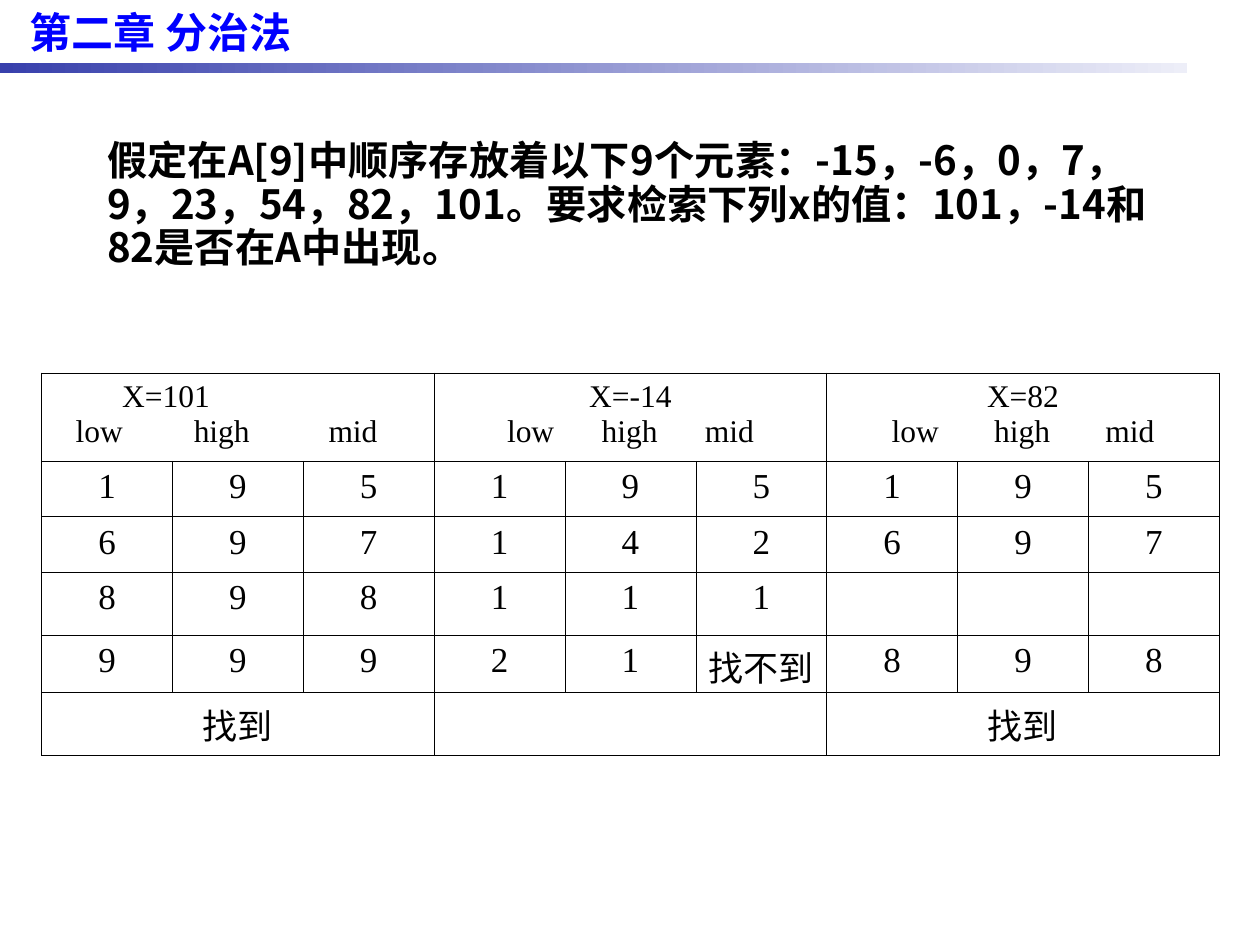
"""Build the slide tracing three binary searches over a sorted array."""
from dataclasses import dataclass

from lxml.etree import SubElement
from pptx import Presentation
from pptx.dml.color import RGBColor as Rgb
from pptx.enum.shapes import MSO_SHAPE as Shape
from pptx.enum.text import MSO_ANCHOR as Anchor, MSO_AUTO_SIZE as AutoSize, PP_ALIGN as Align
from pptx.oxml import parse_xml
from pptx.oxml.ns import nsdecls, qn
from pptx.util import Inches, Pt

TITLE = "第二章 分治法"
PROBLEM = ("假定在A[9]中顺序存放着以下9个元素：-15，-6，0，7，9，23，54，82，101。"
           "要求检索下列x的值：101，-14和82是否在A中出现。")
SEARCHES = [
    {"name": "X=101", "indents": (0.54, 0.17), "label_gaps": (36, 40.5), "result": "找到",
     "steps": ["1 9 5", "6 9 7", "8 9 8", "9 9 9"]},
    {"name": "X=-14", "indents": None, "label_gaps": (22.5, 22.5), "result": "",
     "steps": ["1 9 5", "1 4 2", "1 1 1", "2 1 找不到"]},
    {"name": "X=82", "indents": None, "label_gaps": (27, 27), "result": "找到",
     "steps": ["1 9 5", "6 9 7", "", "8 9 8"]},
]
LABELS = ["low", "high", "mid"]
ROW_HEIGHTS = [0.7, 0.44, 0.44, 0.5, 0.44, 0.5]
TABLE_LEFT, TABLE_TOP, TABLE_WIDTH = 0.33, 2.96, 9.35


@dataclass(frozen=True)
class Theme:
    latin: str = "Times New Roman"
    chinese: str = "Noto Sans CJK SC"
    title: str = "0000FF"
    ink: str = "000000"
    bar_start: str = "3840AC"
    bar_end: str = "EDEEF8"
    title_size: int = 24
    problem_size: int = 23
    header_size: int = 18
    value_size: int = 20
    border: float = 0.45


THEME = Theme()


def add_run(para, text, size, color=THEME.ink, bold=False, latin=THEME.latin):
    span = para.add_run()
    span.text = text
    font = span.font
    font.size, font.bold, font.name = Pt(size), bold, latin
    font.color.rgb = Rgb.from_string(color)
    SubElement(font._element, qn("a:ea"), typeface=THEME.chinese)
    return span


def set_indent(para, first):
    props = para._p.get_or_add_pPr()
    props.set("marL", "0")
    props.set("indent", str(Inches(first)))
    SubElement(props, qn("a:buNone"))


def place(box, left, top, width, height, anchor):
    box.left, box.top = Inches(left), Inches(top)
    box.width, box.height = Inches(width), Inches(height)
    frame = box.text_frame
    frame.word_wrap, frame.auto_size, frame.vertical_anchor = True, AutoSize.NONE, anchor
    return frame.paragraphs[0]


def add_bar(page):
    bar = page.shapes.add_shape(Shape.RECTANGLE, 0, Inches(0.5), Inches(9.42), Inches(0.08))
    bar.shadow.inherit = False
    bar.line.fill.background()
    bar.fill.gradient()
    bar.fill.gradient_angle = 0
    for stop, color in zip(bar.fill.gradient_stops, (THEME.bar_start, THEME.bar_end)):
        stop.color.rgb = Rgb.from_string(color)


def style_cell(cell):
    cell.fill.background()
    props = cell._tc.get_or_add_tcPr()
    for index, side in enumerate(("lnL", "lnR", "lnT", "lnB")):
        props.insert(index, parse_xml(
            f'<a:{side} {nsdecls("a")} w="{Pt(THEME.border)}"><a:solidFill>'
            f'<a:srgbClr val="{THEME.ink}"/></a:solidFill></a:{side}>'))


def write_value(cell, text):
    para = cell.text_frame.paragraphs[0]
    para.alignment = Align.CENTER
    if text:
        add_run(para, text, THEME.value_size)
    if len(text) > 1:
        cell.margin_bottom = 0


def write_header(cell, search):
    name, labels = cell.text_frame.paragraphs[0], cell.text_frame.add_paragraph()
    if search["indents"]:
        for para, indent in zip((name, labels), search["indents"]):
            set_indent(para, indent)
    else:
        name.alignment = labels.alignment = Align.CENTER
    add_run(name, search["name"], THEME.header_size)
    add_run(labels, LABELS[0], THEME.header_size)
    for gap, label in zip(search["label_gaps"], LABELS[1:]):
        space = add_run(labels, " ", THEME.header_size)
        space.font._element.set("spc", str(int(gap * 100)))
        add_run(labels, label, THEME.header_size)


def add_trace_table(page):
    span = len(LABELS)
    columns, last = span * len(SEARCHES), len(ROW_HEIGHTS) - 1
    table = page.shapes.add_table(
        len(ROW_HEIGHTS), columns, Inches(TABLE_LEFT), Inches(TABLE_TOP),
        Inches(TABLE_WIDTH), Inches(sum(ROW_HEIGHTS))).table
    table.first_row = table.horz_banding = False
    for column in table.columns:
        column.width = Inches(TABLE_WIDTH / columns)
    for row, height in zip(table.rows, ROW_HEIGHTS):
        row.height = Inches(height)
    for cell in table.iter_cells():
        style_cell(cell)
    for index, search in enumerate(SEARCHES):
        left = index * span
        for row in (0, last):
            table.cell(row, left).merge(table.cell(row, left + span - 1))
        write_header(table.cell(0, left), search)
        for row, step in enumerate(search["steps"], 1):
            for offset, value in enumerate(step.split()):
                write_value(table.cell(row, left + offset), value)
        write_value(table.cell(last, left), search["result"])


def main():
    deck = Presentation()
    deck.slide_width, deck.slide_height = Inches(10), Inches(7.5)
    page = deck.slides.add_slide(deck.slide_layouts[1])
    title = place(page.shapes.title, -0.17, 0, 2.89, 0.5, Anchor.MIDDLE)
    title.alignment = Align.CENTER
    add_run(title, TITLE, THEME.title_size, THEME.title, True)
    problem = place(page.placeholders[1], 0.75, 1.07, 8.74, 1.14, Anchor.TOP)
    set_indent(problem, 0)
    problem.alignment, problem.line_spacing, problem.space_before = Align.LEFT, 0.9, Pt(0)
    add_run(problem, PROBLEM, THEME.problem_size, bold=True, latin=THEME.chinese)
    add_bar(page)
    add_trace_table(page)
    deck.save("out.pptx")


if __name__ == "__main__":
    main()
